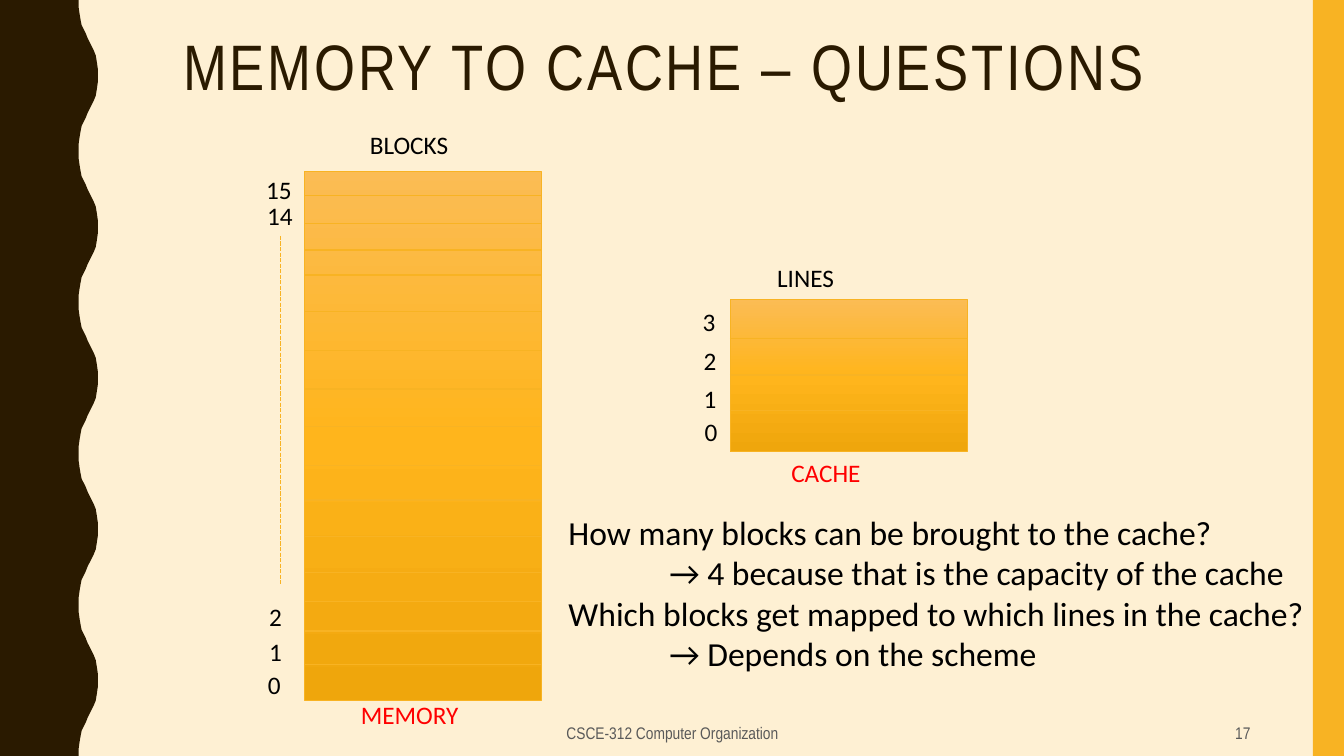
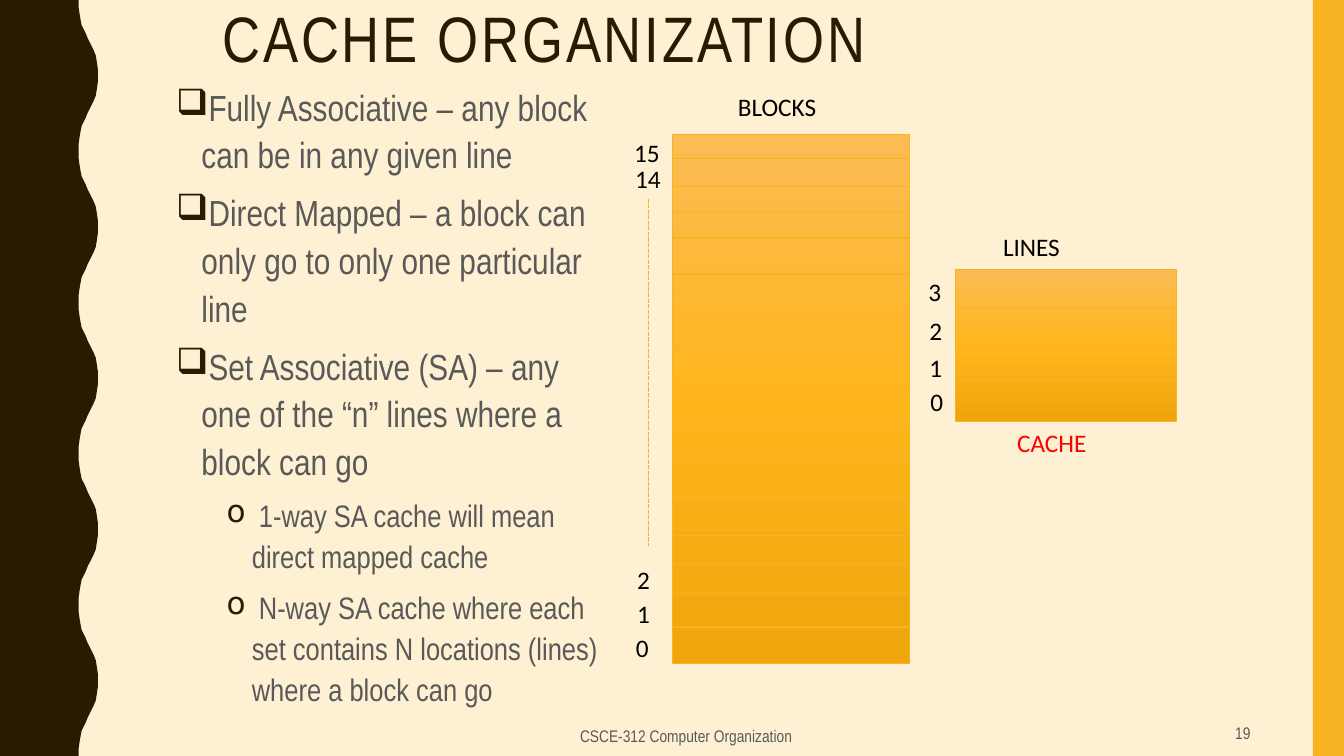
"""Build two slides on moving memory blocks into cache lines."""
import copy

import pptx
import pptx.dml.color
import pptx.enum.dml
import pptx.enum.shapes
import pptx.enum.text
import pptx.oxml.ns
import pptx.oxml.xmlchemy
import pptx.util
from lxml import etree

Inches = pptx.util.Inches
Pt = pptx.util.Pt
RGBColor = pptx.dml.color.RGBColor
ALIGN = pptx.enum.text.PP_ALIGN
ANCHOR = pptx.enum.text.MSO_ANCHOR
PRESET = pptx.enum.shapes.MSO_SHAPE
qn = pptx.oxml.ns.qn

CREAM = RGBColor(0xFE, 0xF0, 0xD3)
BROWN = RGBColor(0x2A, 0x1A, 0x00)
AMBER = RGBColor(0xF8, 0xB3, 0x23)
GREY = RGBColor(0x59, 0x59, 0x59)
BLACK = RGBColor(0x00, 0x00, 0x00)
RED = RGBColor(0xFF, 0x00, 0x00)
STORE_STOPS = (
    (0, RGBColor(0xFB, 0xBC, 0x54)),
    (0.5, RGBColor(0xFF, 0xB5, 0x1C)),
    (1, RGBColor(0xEF, 0xA6, 0x0C)),
)

TITLE = {"size": Pt(45.9), "name": "Arial Narrow"}
FOOTER = {"size": Pt(12), "name": "Arial Narrow"}
POINT = {"size": Pt(25.9), "name": "Arial Narrow"}
SUBPOINT = {"size": Pt(22.2), "name": "Arial Narrow"}
LABEL = {"size": Pt(18), "name": "Calibri"}
QUESTION = {"size": Pt(24), "name": "Calibri"}

SLIDE_WIDTH, SLIDE_HEIGHT = 13.33, 7.5
WAVE_PERIOD = 1.5
WAVE_RISE = (
    (0.78, 0), (0.78, 0.07), (0.79, 0.14), (0.8, 0.2), (0.81, 0.25),
    (0.83, 0.29), (0.85, 0.33), (0.87, 0.38), (0.89, 0.42), (0.91, 0.46),
    (0.93, 0.5), (0.95, 0.55), (0.96, 0.61), (0.97, 0.68),
)

MEMORY_HEIGHT, CACHE_HEIGHT = 5.25, 1.51
MEMORY_DIVIDERS = (0.24, 0.52, 0.78, 1.03, 1.39, 1.78, 2.16, 2.53,
                   2.92, 3.26, 3.62, 3.98, 4.27, 4.56, 4.89)
CACHE_DIVIDERS = (0.39, 0.75, 1.1)
MEMORY_LABELS = (
    ("BLOCKS", 0.55, -0.47, 1.14), ("15", -0.48, -0.02, 0.45),
    ("14", -0.47, 0.24, 0.45), ("2", -0.45, 4.22, 0.33),
    ("1", -0.45, 4.56, 0.33), ("0", -0.46, 4.89, 0.33),
)
CACHE_LABELS = (
    ("LINES", 0.37, -0.42, 0.83), ("3", -0.37, 0.02, 0.33),
    ("2", -0.36, 0.41, 0.33), ("1", -0.36, 0.78, 0.33),
    ("0", -0.35, 1.11, 0.33),
)

QUESTIONS = (
    ("How many blocks can be brought to the cache?", 0),
    ("→ 4 because that is the capacity of the cache", 1),
    ("Which blocks get mapped to which lines in the cache?", 0),
    ("→ Depends on the scheme", 1),
)
SCHEMES = (
    ("Fully Associative – any block can be in any given line", 0),
    ("Direct Mapped – a block can only go to only one particular line", 0),
    ("Set Associative (SA) – any one of the “n” lines where a block can go", 0),
    (" 1-way SA cache will mean direct mapped cache", 1),
    (" N-way SA cache where each set contains N locations (lines) "
     "where a block can go", 1),
)
SCHEME_LEVELS = ((0.25, "❑", POINT), (0.75, "o", SUBPOINT))


def add_frame(slide, box, wrap=True):
    """Add a text box and return its text frame."""
    frame = slide.shapes.add_textbox(*map(Inches, box)).text_frame
    frame.word_wrap = wrap
    if not wrap:
        frame.auto_size = pptx.enum.text.MSO_AUTO_SIZE.SHAPE_TO_FIT_TEXT
    return frame


def next_paragraph(frame, index):
    """Return the first paragraph of a frame, or a new one after it."""
    return frame.add_paragraph() if index else frame.paragraphs[0]


def write(paragraph, text, style, colour):
    """Add a run in the given style and return it."""
    run = paragraph.add_run()
    run.text = text
    for name, value in style.items():
        setattr(run.font, name, value)
    run.font.color.rgb = colour
    return run


def indent(paragraph, left, first=0):
    """Set the left margin and first-line indent of a paragraph."""
    properties = paragraph._p.get_or_add_pPr()
    properties.set("marL", str(Inches(left)))
    properties.set("indent", str(Inches(first)))
    return properties


def add_label(slide, text, box, colour=BLACK):
    """Add a one-line diagram label."""
    write(add_frame(slide, box, wrap=False).paragraphs[0], text, LABEL, colour)


def add_rule(slide, start, end, dash=None):
    """Add an amber line between two points."""
    rule = slide.shapes.add_connector(
        pptx.enum.shapes.MSO_CONNECTOR.STRAIGHT, *map(Inches, start + end))
    rule.line.color.rgb = AMBER
    rule.line.width = Pt(1)
    if dash:
        rule.line.dash_style = dash
    etree.SubElement(rule.element.spPr, qn("a:effectLst"))


def add_wave(slide):
    """Draw the brown wavy band down the left edge."""
    crest = [(x, WAVE_PERIOD - y) for x, y in reversed(WAVE_RISE[1:])]
    period = [*WAVE_RISE, (0.97, WAVE_PERIOD / 2), *crest]
    count = int(SLIDE_HEIGHT / WAVE_PERIOD)
    edge = [(x, y + turn * WAVE_PERIOD) for turn in range(count) for x, y in period]
    edge += [(0.78, SLIDE_HEIGHT), (0, SLIDE_HEIGHT)]
    outline = slide.shapes.build_freeform(0, 0)
    outline.add_line_segments([(Inches(x), Inches(y)) for x, y in edge], close=True)
    wave = outline.convert_to_shape()
    wave.shadow.inherit = False
    wave.fill.solid()
    wave.fill.fore_color.rgb = BROWN
    wave.line.fill.background()


def add_base(deck, title, title_box, footer_box, number):
    """Add a slide with its background, bands, title and footers."""
    slide = deck.slides.add_slide(deck.slide_layouts[6])
    slide.background.fill.solid()
    slide.background.fill.fore_color.rgb = CREAM
    add_wave(slide)
    band = slide.shapes.add_shape(
        PRESET.RECTANGLE, *map(Inches, (13.02, 0, 0.31, SLIDE_HEIGHT)))
    band.shadow.inherit = False
    band.fill.solid()
    band.fill.fore_color.rgb = AMBER
    band.line.fill.background()

    heading = add_frame(slide, title_box).paragraphs[0]
    heading.line_spacing = 0.9
    run = write(heading, title, TITLE, BROWN)
    run.font._element.set("spc", "200")

    footers = (
        ("CSCE-312 Computer Organization", footer_box, ALIGN.CENTER),
        (number, (9.42, 7.08, 3.08, 0.38), ALIGN.RIGHT),
    )
    for text, box, alignment in footers:
        frame = add_frame(slide, box)
        frame.vertical_anchor = ANCHOR.MIDDLE
        frame.paragraphs[0].alignment = alignment
        write(frame.paragraphs[0], text, FOOTER, GREY)
    return slide


def add_store(slide, box, dividers, labels):
    """Draw a gradient store split by dividers, with labels around it."""
    left, top, width, _ = box
    store = slide.shapes.add_shape(PRESET.RECTANGLE, *map(Inches, box))
    store.shadow.inherit = False
    store.line.color.rgb = AMBER
    store.line.width = Pt(0.5)
    store.fill.gradient()
    store.fill.gradient_angle = 270
    stops = store.element.spPr.find(".//" + qn("a:gsLst"))
    stops.insert(1, copy.deepcopy(stops[0]))
    for stop, (position, colour) in zip(store.fill.gradient_stops, STORE_STOPS):
        stop.position = position
        stop.color.rgb = colour
    for offset in dividers:
        add_rule(slide, (left, top + offset), (left + width, top + offset))
    for text, across, down, label_width in labels:
        add_label(slide, text, (left + across, top + down, label_width, 0.4))


def add_memory(slide, left, top):
    """Draw the memory with its numbered blocks."""
    add_store(slide, (left, top, 2.35, MEMORY_HEIGHT), MEMORY_DIVIDERS, MEMORY_LABELS)
    add_rule(slide, (left - 0.24, top + 0.64), (left - 0.24, top + 4.09),
             pptx.enum.dml.MSO_LINE.SQUARE_DOT)


def add_cache(slide, left, top, width):
    """Draw the cache with its numbered lines and red caption."""
    add_store(slide, (left, top, width, CACHE_HEIGHT), CACHE_DIVIDERS, CACHE_LABELS)
    add_label(slide, "CACHE", (left + 0.51, top + 1.52, 1.03, 0.4), RED)


def add_questions(slide, box):
    """Write the questions with their indented answers."""
    frame = add_frame(slide, box, wrap=False)
    for index, (text, level) in enumerate(QUESTIONS):
        paragraph = next_paragraph(frame, index)
        indent(paragraph, level)
        write(paragraph, text, QUESTION, BLACK)


def add_schemes(slide, box):
    """Write the bulleted list of cache schemes."""
    frame = add_frame(slide, box)
    for index, (text, level) in enumerate(SCHEMES):
        left, mark, style = SCHEME_LEVELS[level]
        paragraph = next_paragraph(frame, index)
        paragraph.level = level
        properties = indent(paragraph, left, -0.25)
        bullet_colour = etree.SubElement(properties, qn("a:buClr"))
        etree.SubElement(bullet_colour, qn("a:srgbClr"), val=str(BROWN))
        etree.SubElement(properties, qn("a:buChar"), char=mark)
        paragraph.line_spacing = 1.1
        paragraph.space_before = Pt(7 if index else 0)
        write(paragraph, text, style, GREY)


def build_questions_slide(deck):
    """Build the slide asking how blocks reach the cache."""
    slide = add_base(deck, "MEMORY TO CACHE – QUESTIONS", (1.72, 0.3, 9.95, 0.77),
                     (4.42, 7.08, 4.5, 0.38), "17")
    left, top = 3.02, 1.7
    add_memory(slide, left, top)
    add_label(slide, "MEMORY", (left + 0.46, top + 5.19, 1.21, 0.4), RED)
    add_cache(slide, 7.24, 2.97, 2.35)
    add_questions(slide, (5.54, 5.03, 7.57, 2.12))


def build_organization_slide(deck):
    """Build the slide listing the cache schemes."""
    slide = add_base(deck, "CACHE ORGANIZATION", (2.11, 0.02, 9, 0.67),
                     (5.22, 7.1, 3.17, 0.4), "19")
    add_schemes(slide, (1.65, 0.75, 4.56, 6.5))
    add_memory(slide, 6.67, 1.33)
    add_cache(slide, 9.48, 2.67, 2.19)


def main():
    """Build and save the presentation."""
    deck = pptx.Presentation()
    deck.slide_width = Inches(SLIDE_WIDTH)
    deck.slide_height = Inches(SLIDE_HEIGHT)
    build_questions_slide(deck)
    build_organization_slide(deck)
    deck.save("out.pptx")


if __name__ == "__main__":
    main()
